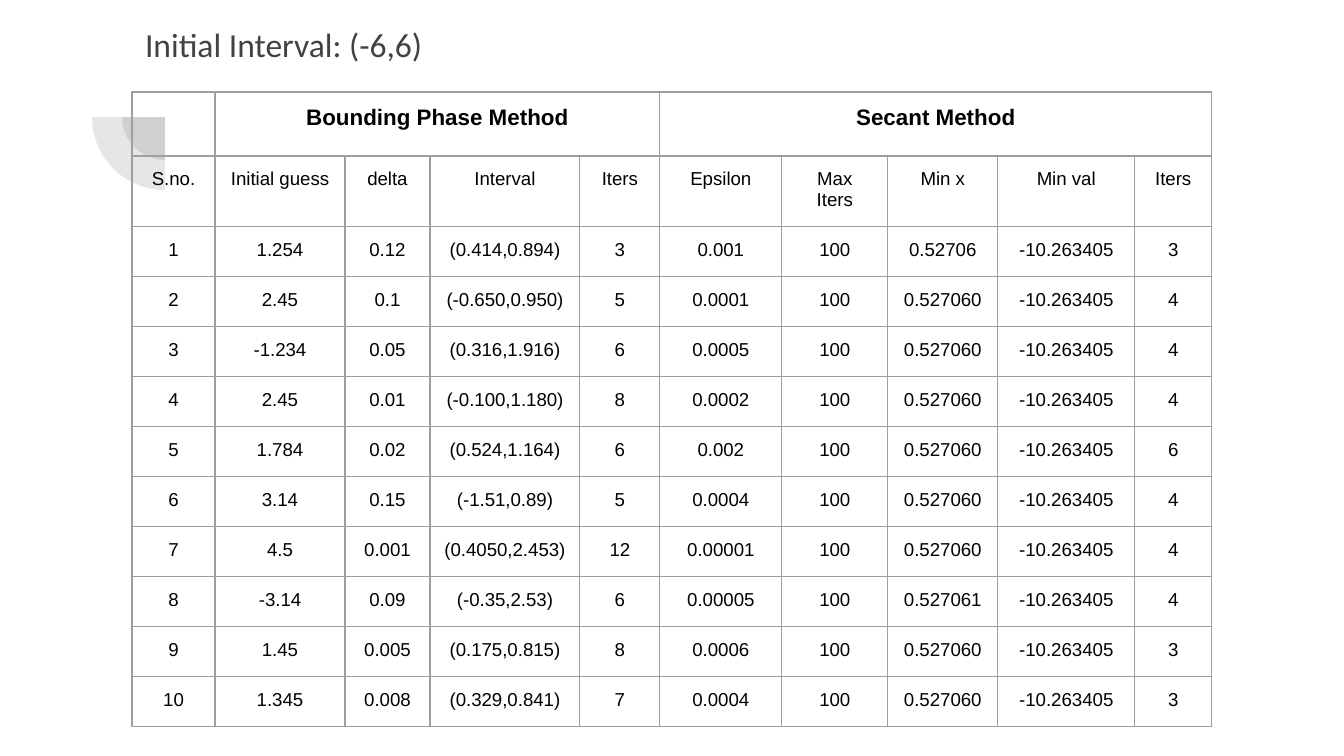
from dataclasses import dataclass
from typing import NamedTuple

from lxml.etree import SubElement
from pptx import Presentation
from pptx.dml.color import RGBColor
from pptx.enum.shapes import MSO_SHAPE as Shape
from pptx.enum.text import MSO_ANCHOR as Anchor, PP_ALIGN as Align
from pptx.oxml.ns import qn
from pptx.util import Emu, Pt

EMU_PER_PX = 914400 / 134.4
COLORS = {"title": "424242", "pie": "424242", "text": "000000", "border": "9E9E9E"}
INSET = 13
BORDER_WIDTH = Pt(0.75)


@dataclass
class QuarterPie:
    center_x: int
    center_y: int
    radius: int


class MethodHeading(NamedTuple):
    text: str
    first_column: int
    last_column: int


class Trial(NamedTuple):
    guess: str
    delta: str
    interval: str
    bounding_iters: str
    epsilon: str
    min_x: str
    secant_iters: str


PIES = [QuarterPie(165, 117, 43), QuarterPie(165, 117, 73)]
METHODS = [
    MethodHeading("Bounding Phase Method", 1, 4),
    MethodHeading("Secant Method", 5, 9),
]
COLUMN_NAMES = ["S.no.", "Initial guess", "delta", "Interval", "Iters",
                "Epsilon", "Max\nIters", "Min x", "Min val", "Iters"]
COLUMN_WIDTHS = [83, 130, 85, 150, 80, 122, 106, 110, 137, 77]
MAX_ITERS = "100"
MIN_VALUE = "-10.263405"
TRIALS = [
    Trial("1.254", "0.12", "(0.414,0.894)", "3", "0.001", "0.52706", "3"),
    Trial("2.45", "0.1", "(-0.650,0.950)", "5", "0.0001", "0.527060", "4"),
    Trial("-1.234", "0.05", "(0.316,1.916)", "6", "0.0005", "0.527060", "4"),
    Trial("2.45", "0.01", "(-0.100,1.180)", "8", "0.0002", "0.527060", "4"),
    Trial("1.784", "0.02", "(0.524,1.164)", "6", "0.002", "0.527060", "6"),
    Trial("3.14", "0.15", "(-1.51,0.89)", "5", "0.0004", "0.527060", "4"),
    Trial("4.5", "0.001", "(0.4050,2.453)", "12", "0.00001", "0.527060", "4"),
    Trial("-3.14", "0.09", "(-0.35,2.53)", "6", "0.00005", "0.527061", "4"),
    Trial("1.45", "0.005", "(0.175,0.815)", "8", "0.0006", "0.527060", "3"),
    Trial("1.345", "0.008", "(0.329,0.841)", "7", "0.0004", "0.527060", "3"),
]
ROW_HEIGHTS = [64, 70] + [50] * len(TRIALS)


def px(length: int) -> Emu:
    return Emu(round(length * EMU_PER_PX))


def color(name: str) -> RGBColor:
    return RGBColor.from_string(COLORS[name])


def add_span(para, text: str, font: str, size: int, color_name: str, bold: bool = False) -> None:
    span = para.add_run()
    span.text = text
    span.font.name = font
    span.font.size = Pt(size)
    span.font.bold = bold
    span.font.color.rgb = color(color_name)


def draw_pie(page, pie: QuarterPie) -> None:
    side = px(2 * pie.radius)
    shape = page.shapes.add_shape(
        Shape.PIE, px(pie.center_x - pie.radius), px(pie.center_y - pie.radius), side, side)
    shape.adjustments[0] = 108
    shape.adjustments[1] = 162
    shape.rotation = 270
    shape.shadow.inherit = False
    shape.line.fill.background()
    shape.fill.solid()
    shape.fill.fore_color.rgb = color("pie")
    tint = shape.fill._xPr.find(qn("a:solidFill"))[0]
    SubElement(tint, qn("a:alpha"), val="13000")


def draw_title(page, text: str) -> None:
    box = page.shapes.add_textbox(px(132), px(11), px(1034), px(69))
    frame = box.text_frame
    frame.word_wrap = True
    frame.vertical_anchor = Anchor.TOP
    frame.margin_left = frame.margin_right = px(INSET)
    frame.margin_top = frame.margin_bottom = px(INSET)
    add_span(frame.paragraphs[0], text, "Calibri", 18, "title")


def style_cell(cell) -> None:
    cell.margin_left = cell.margin_right = px(INSET)
    cell.margin_top = cell.margin_bottom = px(INSET)
    properties = cell._tc.get_or_add_tcPr()
    for side in ("lnL", "lnR", "lnT", "lnB"):
        line = SubElement(properties, qn(f"a:{side}"), w=str(BORDER_WIDTH))
        fill = SubElement(line, qn("a:solidFill"))
        SubElement(fill, qn("a:srgbClr"), val=COLORS["border"])
    cell.fill.background()


def write_cell(cell, text: str, size: int = 10, bold: bool = False) -> None:
    frame = cell.text_frame
    for index, line in enumerate(text.split("\n")):
        para = frame.add_paragraph() if index else frame.paragraphs[0]
        para.alignment = Align.CENTER
        add_span(para, line, "Arial", size, "text", bold)


def draw_results(page) -> None:
    frame = page.shapes.add_table(
        len(ROW_HEIGHTS), len(COLUMN_WIDTHS), px(132), px(92),
        px(sum(COLUMN_WIDTHS)), px(sum(ROW_HEIGHTS)))
    table = frame.table
    table.first_row = table.horz_banding = False
    for column, width in zip(table.columns, COLUMN_WIDTHS):
        column.width = px(width)
    for row, height in zip(table.rows, ROW_HEIGHTS):
        row.height = px(height)
    for cell in table.iter_cells():
        style_cell(cell)

    # Method headings; the empty corner gets a size that keeps the row height
    corner = table.cell(0, 0).text_frame.paragraphs[0]
    SubElement(corner._p, qn("a:endParaRPr"), sz="1200")
    for method in METHODS:
        heading = table.cell(0, method.first_column)
        heading.merge(table.cell(0, method.last_column))
        write_cell(heading, method.text, 12, True)

    # Column names and numbered trials
    body = [COLUMN_NAMES]
    for number, trial in enumerate(TRIALS, 1):
        body.append([str(number), *trial[:5], MAX_ITERS, trial.min_x,
                     MIN_VALUE, trial.secant_iters])
    for row_index, values in enumerate(body, 1):
        for column_index, value in enumerate(values):
            write_cell(table.cell(row_index, column_index), value)


def main() -> None:
    deck = Presentation()
    deck.slide_width = px(1344)
    deck.slide_height = px(756)
    page = deck.slides.add_slide(deck.slide_layouts[6])

    # Corner ornament
    for pie in PIES:
        draw_pie(page, pie)

    # Title and results table
    draw_title(page, "Initial Interval: (-6,6)")
    draw_results(page)

    deck.save("out.pptx")


if __name__ == "__main__":
    main()
